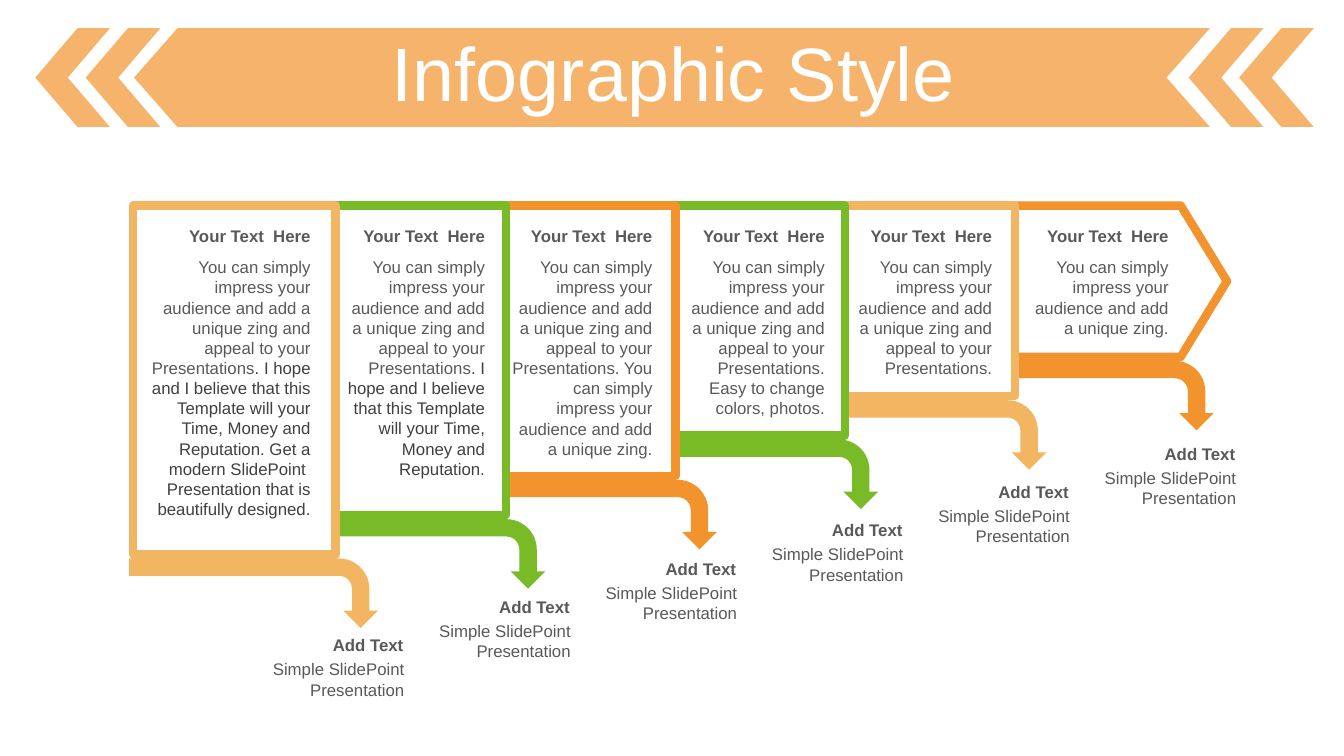
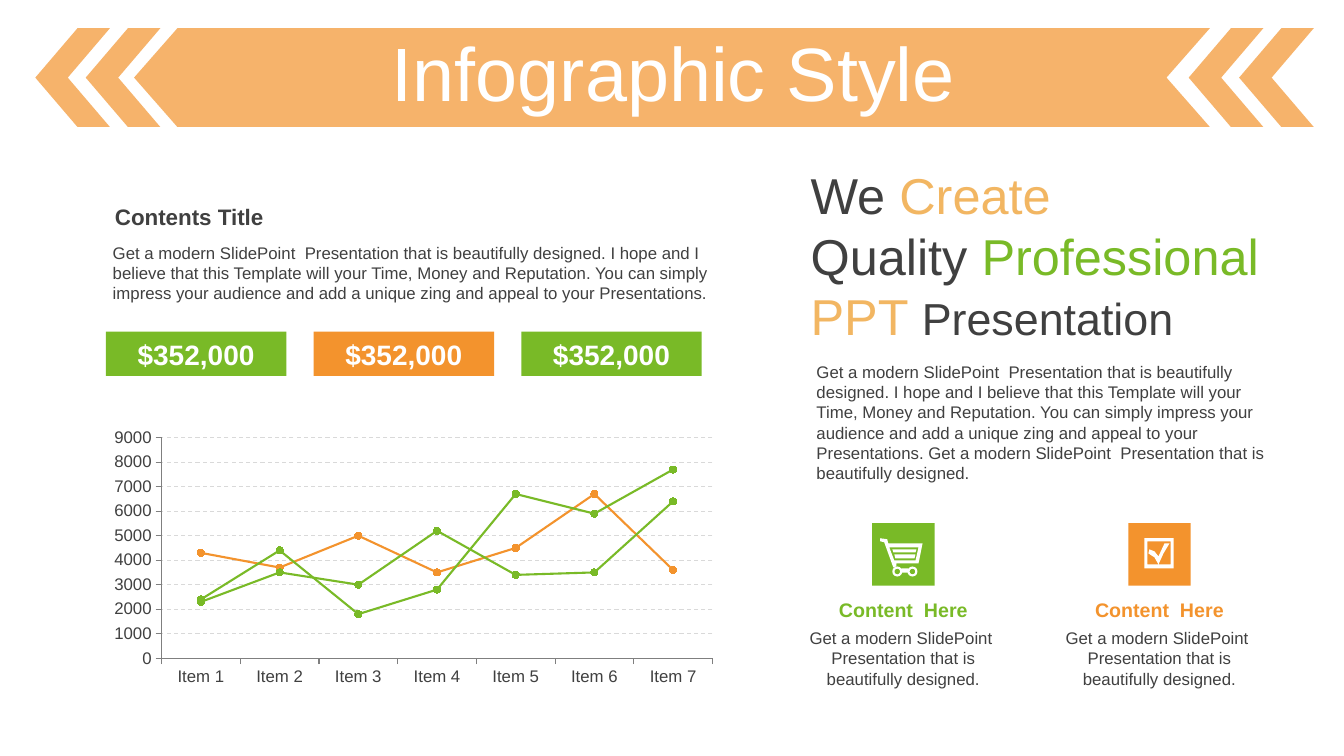
"""Build two infographic slides: a descending process and a line chart page."""
from lxml.etree import SubElement
from pptx import Presentation
from pptx.chart.data import CategoryChartData
from pptx.dml.color import RGBColor
from pptx.enum.chart import XL_CHART_TYPE, XL_MARKER_STYLE, XL_TICK_MARK
from pptx.enum.dml import MSO_LINE
from pptx.enum.shapes import MSO_SHAPE
from pptx.enum.text import MSO_ANCHOR, PP_ALIGN
from pptx.oxml.ns import qn
from pptx.util import Inches, Pt

ORANGE = RGBColor(0xF3, 0x93, 0x2D)
GREEN = RGBColor(0x79, 0xBA, 0x27)
SAND = RGBColor(0xF2, 0xB6, 0x62)
WHITE = RGBColor(0xFF, 0xFF, 0xFF)
DARK = RGBColor(0x40, 0x40, 0x40)
GRAY = RGBColor(0x59, 0x59, 0x59)
AXIS_GRAY = RGBColor(0x7F, 0x7F, 0x7F)
GRID_GRAY = RGBColor(0xD9, 0xD9, 0xD9)
FONT = "Arial"


def paint(shape, color, line=None, alpha=None):
    """Give a shape a flat fill, an optional 6 pt outline and an opacity in percent."""
    shape.shadow.inherit = False
    shape.fill.solid()
    shape.fill.fore_color.rgb = color
    if alpha:
        for tint in shape.fill._xPr.iter(qn("a:srgbClr")):
            SubElement(tint, qn("a:alpha"), val=str(alpha * 1000))
    if line:
        shape.line.color.rgb = line
        shape.line.width = Pt(6)
    else:
        shape.line.fill.background()
    return shape


def add_text(page, text, left, top, width, height, size=12, color=DARK, bold=False,
             align=PP_ALIGN.LEFT, anchor=MSO_ANCHOR.TOP, fill=None, spacing=None, inset=0.1):
    """Place a string, or paragraphs made of (text, color, size) spans."""
    place = Inches(left), Inches(top), Inches(width), Inches(height)
    if fill:
        box = paint(page.shapes.add_shape(MSO_SHAPE.RECTANGLE, *place), fill)
    else:
        box = page.shapes.add_textbox(*place)
    frame = box.text_frame
    frame.word_wrap = True
    frame.vertical_anchor = anchor
    frame.margin_left = frame.margin_right = Inches(inset)
    paragraphs = [[(text, color, size)]] if isinstance(text, str) else text
    for index, spans in enumerate(paragraphs):
        para = frame.add_paragraph() if index else frame.paragraphs[0]
        para.alignment = align
        para.line_spacing = spacing or Pt(size * 1.2)
        for words, span_color, span_size in spans:
            span = para.add_run()
            span.text = words
            span.font.name = FONT
            span.font.size = Pt(span_size)
            span.font.bold = bold
            span.font.color.rgb = span_color


deck = Presentation()
deck.slide_width, deck.slide_height = Inches(13.33), Inches(7.5)
pages = [deck.slides.add_slide(deck.slide_layouts[6]) for _ in range(2)]
process_page, chart_page = pages

BAND = [(1.76, 0.28), (12, 0.28), (11.57, 0.77), (12, 1.26), (1.76, 1.26), (1.33, 0.77)]
for page in pages:
    for left in (0.35, 0.85, 11.79, 12.29):
        chevron = page.shapes.add_shape(
            MSO_SHAPE.CHEVRON, Inches(left), Inches(0.28), Inches(0.74), Inches(0.98))
        chevron.adjustments[0] = 0.565
        chevron.rotation = 180
        paint(chevron, ORANGE, alpha=70)
    corners = [(Inches(x), Inches(y)) for x, y in BAND]
    builder = page.shapes.build_freeform(*corners[0])
    builder.add_line_segments(corners[1:])
    paint(builder.convert_to_shape(), ORANGE, alpha=70)
    add_text(page, "Infographic Style", 0.35, 0.37, 12.66, 0.79, size=54, color=WHITE,
             align=PP_ALIGN.CENTER, anchor=MSO_ANCHOR.MIDDLE, spacing=0.9)

ZING = "You can simply impress your audience and add a unique zing"
APPEAL = ZING + " and appeal to your Presentations"
HOPE = ". I hope and I believe that this Template will your Time, Money and Reputation."
DESIGNED = "Get a modern SlidePoint  Presentation that is beautifully designed."
STEP_TOP = 2.04
ARROW_DEPTH = 0.69
steps = [
    (SAND, 1.32, 2.01, 3.46, 3.75, 1.39, 1.79, APPEAL, f"{HOPE} {DESIGNED}"),
    (GREEN, 2.85, 2.17, 3.07, 5.41, 3.31, 1.6, APPEAL, HOPE),
    (ORANGE, 4.53, 2.17, 2.68, 7.11, 4.98, 1.59, f"{APPEAL}. {ZING}.", ""),
    (GREEN, 6.21, 2.17, 2.28, 8.71, 6.66, 1.62,
     f"{APPEAL}. Easy to change colors, photos.", ""),
    (SAND, 7.9, 2.17, 1.89, 10.38, 8.37, 1.57, f"{APPEAL}.", ""),
    (ORANGE, 9.84, 2.33, 1.5, 12.04, 10.1, 1.59, f"{ZING}.", ""),
]
for index, step in reversed(list(enumerate(steps))):
    color, left, width, height, tip, text_left, text_width, body, ending = step
    start = left - 0.04
    length = tip - start
    middle_x = (start + tip) / 2
    middle_y = STEP_TOP + height + 0.04 + ARROW_DEPTH / 2
    arrow = process_page.shapes.add_shape(
        MSO_SHAPE.BENT_ARROW, Inches(middle_x - ARROW_DEPTH / 2),
        Inches(middle_y - length / 2), Inches(ARROW_DEPTH), Inches(length))
    arrow.rotation = 90
    paint(arrow, color)

    is_last = index == len(steps) - 1
    panel = process_page.shapes.add_shape(
        MSO_SHAPE.PENTAGON if is_last else MSO_SHAPE.RECTANGLE,
        Inches(left), Inches(STEP_TOP), Inches(width), Inches(height))
    if is_last:
        panel.adjustments[0] = 0.306
    paint(panel, WHITE, line=color)

    spans = [(body, GRAY, 12)] + ([(ending, DARK, 12)] if ending else [])
    caption_left, caption_top = 2.25 + 1.65 * index, 6.25 - 0.38 * index
    for text, x, y, w, h, bold in (
            ("Your Text  Here", text_left, 2.19, text_width, 0.3, True),
            ([spans], text_left, 2.5, text_width, height - 0.7, False),
            ("Add Text", caption_left, caption_top, 1.85, 0.3, True),
            ("Simple SlidePoint Presentation", caption_left + 0.01, caption_top + 0.24,
             1.85, 0.5, False)):
        add_text(process_page, text, x, y, w, h, color=GRAY, bold=bold, align=PP_ALIGN.RIGHT)

INTRO = (DESIGNED + " I hope and I believe that this Template will your Time, Money and "
         "Reputation. " + APPEAL + ".")
add_text(chart_page, INTRO, 1.02, 2.36, 6.17, 0.71)
add_text(chart_page, "Contents Title", 1.02, 1.97, 6.18, 0.37, size=16, bold=True, inset=0.12)
for index, color in enumerate((GREEN, ORANGE, GREEN)):
    add_text(chart_page, "$352,000", 1.05 + 2.06 * index, 3.29, 1.79, 0.44, size=20,
             color=WHITE, bold=True, align=PP_ALIGN.CENTER, anchor=MSO_ANCHOR.MIDDLE, fill=color)

data = CategoryChartData()
data.categories = [f"Item {number}" for number in range(1, 8)]
data.add_series("Series 1", (4300, 3700, 5000, 3500, 4500, 6700, 3600))
data.add_series("Series 2", (2400, 4400, 1800, 2800, 6700, 5900, 7700))
data.add_series("Series 3", (2300, 3500, 3000, 5200, 3400, 3500, 6400))
chart = chart_page.shapes.add_chart(
    XL_CHART_TYPE.LINE_MARKERS, Inches(1.01), Inches(4.2), Inches(6.18), Inches(2.66), data).chart
chart.has_legend = False
chart.has_title = False
chart.font.name = FONT
chart.font.size = Pt(12)
chart.font.color.rgb = DARK
chart.plots[0].vary_by_categories = False
for axis in (chart.category_axis, chart.value_axis):
    axis.major_tick_mark = XL_TICK_MARK.OUTSIDE
    axis.minor_tick_mark = XL_TICK_MARK.NONE
    axis.format.line.color.rgb = AXIS_GRAY
    axis.format.line.width = Pt(0.75)
    axis.tick_labels.font.name = FONT
    axis.tick_labels.font.size = Pt(12)
    axis.tick_labels.font.color.rgb = DARK
value_axis = chart.value_axis
value_axis.minimum_scale, value_axis.maximum_scale, value_axis.major_unit = 0, 9000, 1000
value_axis.has_major_gridlines = True
grid_line = value_axis.major_gridlines.format.line
grid_line.color.rgb = GRID_GRAY
grid_line.width = Pt(0.75)
grid_line.dash_style = MSO_LINE.DASH
for series, color in zip(chart.plots[0].series, (ORANGE, GREEN, GREEN)):
    series.smooth = False
    series.format.line.color.rgb = color
    series.format.line.width = Pt(1.5)
    series.marker.style = XL_MARKER_STYLE.CIRCLE
    series.marker.size = 5
    series.marker.format.fill.solid()
    series.marker.format.fill.fore_color.rgb = color
    series.marker.format.line.color.rgb = color

headline = [
    [("We ", DARK, 36), ("Create", SAND, 36)],
    [("Quality ", DARK, 36), ("Professional", GREEN, 36)],
    [("PPT ", SAND, 36), ("Presentation", DARK, 32)],
]
add_text(chart_page, headline, 8, 1.62, 4.73, 1.82, size=36, anchor=MSO_ANCHOR.MIDDLE, inset=0.04)
add_text(chart_page, f"{INTRO} {DESIGNED}", 8, 3.54, 4.7, 1.31)

cart = [
    [(8.73, 5.34), (8.8, 5.35), (8.81, 5.39), (9.15, 5.39), (9.11, 5.59), (8.89, 5.59),
     (8.89, 5.62), (8.86, 5.63), (8.77, 5.38), (8.73, 5.37)],
    [(8.82, 5.43), (8.87, 5.56), (9.08, 5.56), (9.11, 5.43)],
    [(9.09, 5.45), (9.08, 5.48), (8.86, 5.48), (8.85, 5.45)],
    [(9.08, 5.5), (9.07, 5.54), (8.88, 5.54), (8.87, 5.5)],
    [(8.94, 5.64), (9.01, 5.64), (9.01, 5.68), (8.94, 5.68)],
]
checkbox = [
    [(11.35, 5.34), (11.64, 5.34), (11.64, 5.64), (11.35, 5.64)],
    [(11.38, 5.37), (11.38, 5.6), (11.61, 5.6), (11.61, 5.37)],
    [(11.39, 5.49), (11.4, 5.45), (11.45, 5.47), (11.49, 5.52), (11.55, 5.39), (11.6, 5.39),
     (11.54, 5.49), (11.49, 5.6), (11.45, 5.53)],
]
for left, color, contours in ((7.76, GREEN, cart), (10.3, ORANGE, checkbox)):
    add_text(chart_page, "Content  Here", left, 5.88, 2.4, 0.34, size=14, color=color,
             bold=True, align=PP_ALIGN.CENTER, anchor=MSO_ANCHOR.MIDDLE)
    add_text(chart_page, DESIGNED, left, 6.18, 2.4, 0.71, align=PP_ALIGN.CENTER)
    paint(chart_page.shapes.add_shape(
        MSO_SHAPE.RECTANGLE, Inches(left + 0.89), Inches(5.19), Inches(0.62), Inches(0.62)), color)
    builder = None
    for contour in contours:
        corners = [(Inches(x), Inches(y)) for x, y in contour]
        if builder:
            builder.move_to(*corners[0])
        else:
            builder = chart_page.shapes.build_freeform(*corners[0])
        builder.add_line_segments(corners[1:])
    paint(builder.convert_to_shape(), WHITE)
for left in (8.85, 9.0):
    wheel = chart_page.shapes.add_shape(
        MSO_SHAPE.DONUT, Inches(left), Inches(5.62), Inches(0.1), Inches(0.1))
    wheel.adjustments[0] = 0.22
    paint(wheel, WHITE)

deck.save("out.pptx")
